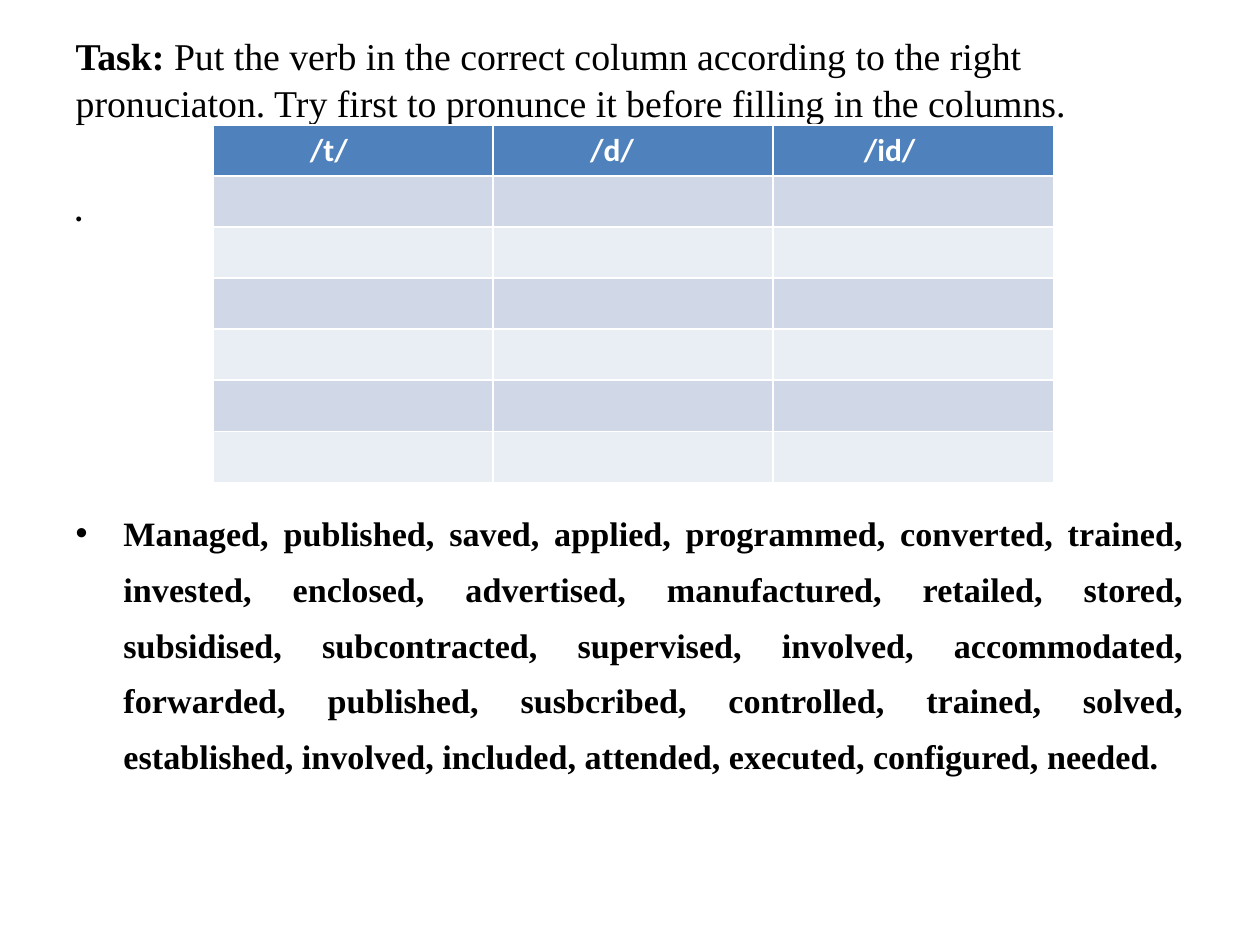
from pptx import Presentation
from pptx.dml.color import RGBColor
from pptx.enum.text import MSO_ANCHOR, MSO_AUTO_SIZE, PP_ALIGN
from pptx.oxml.ns import qn
from pptx.util import Inches, Pt

TOP, NO_FIT = MSO_ANCHOR.TOP, MSO_AUTO_SIZE.NONE
LEFT, JUSTIFY = PP_ALIGN.LEFT, PP_ALIGN.JUSTIFY
SERIF, SANS = "Times New Roman", "Calibri"
BLACK, WHITE, HEADER = "000000", "FFFFFF", "4F81BD"
BANDS = ("D0D8E8", "E9EDF4")

# Heading of each pronunciation column and its left inset in inches
SOUNDS = (("/t/", 0.77), ("/d/", 0.77), ("/id/", 0.72))
EMPTY_ROWS = 6
VERBS = (
    "Managed, published, saved, applied, programmed, converted, trained, "
    "invested, enclosed, advertised, manufactured, retailed, stored, "
    "subsidised, subcontracted, supervised, involved, accommodated, "
    "forwarded, published, susbcribed, controlled, trained, solved, "
    "established, involved, included, attended, executed, configured, needed."
)


def rgb(value):
    return RGBColor.from_string(value)


def place(sp, left, top, width, height):
    sp.left, sp.top = Inches(left), Inches(top)
    sp.width, sp.height = Inches(width), Inches(height)
    tf = sp.text_frame
    tf.word_wrap, tf.auto_size, tf.vertical_anchor = True, NO_FIT, TOP
    return tf


def add_run(p, text, size, font=SERIF, color=BLACK, bold=False):
    r = p.add_run()
    r.text = text
    r.font.size, r.font.name, r.font.bold = Pt(size), font, bold
    r.font.color.rgb = rgb(color)


def format_bullet(p, line_spacing, space_before):
    pPr = p._p.get_or_add_pPr()
    pPr.set("marL", str(Inches(0.38)))
    pPr.set("indent", str(Inches(-0.38)))
    bullet = pPr.makeelement(qn("a:buChar"), {"char": "•"})
    pPr.append(bullet)
    p.alignment, p.line_spacing = JUSTIFY, line_spacing
    p.space_before = Pt(space_before)


def add_task(s):
    tf = place(s.shapes.title, 0.5, 0.2, 9, 0.8)
    p = tf.paragraphs[0]
    p.alignment, p.line_spacing = LEFT, 1.03
    add_run(p, "Task: ", 21.6, bold=True)
    add_run(p, "Put the verb in the correct column according to the right "
               "pronuciaton. Try first to pronunce it before filling in "
               "the columns.", 21.6)


def add_verbs(s):
    tf = place(s.placeholders[1], 0.5, 1.55, 9, 5.15)
    # Lone bullet beside the table
    p = tf.paragraphs[0]
    format_bullet(p, 1.3, 0)
    add_run(p, " ", 10.4, SANS)
    # Verb list below the table
    p = tf.add_paragraph()
    format_bullet(p, 1.36, 153)
    add_run(p, VERBS, 19.5, bold=True)


def add_sound_table(s):
    rows = EMPTY_ROWS + 1
    table = s.shapes.add_table(rows, len(SOUNDS), Inches(1.69), Inches(0.99),
                               Inches(6.67), Inches(2.84)).table
    for col, (sound, inset) in enumerate(SOUNDS):
        for row in range(rows):
            cell = table.cell(row, col)
            cell.fill.solid()
            color = BANDS[(row - 1) % 2] if row else HEADER
            cell.fill.fore_color.rgb = rgb(color)
        head = table.cell(0, col)
        head.margin_left = Inches(inset)
        add_run(head.text_frame.paragraphs[0], sound, 18, SANS, WHITE, True)


def main():
    prs = Presentation()
    prs.slide_width, prs.slide_height = Inches(10), Inches(7.5)
    s = prs.slides.add_slide(prs.slide_layouts[1])  # title and content
    add_task(s)
    add_verbs(s)
    add_sound_table(s)
    prs.save("out.pptx")


if __name__ == "__main__":
    main()
